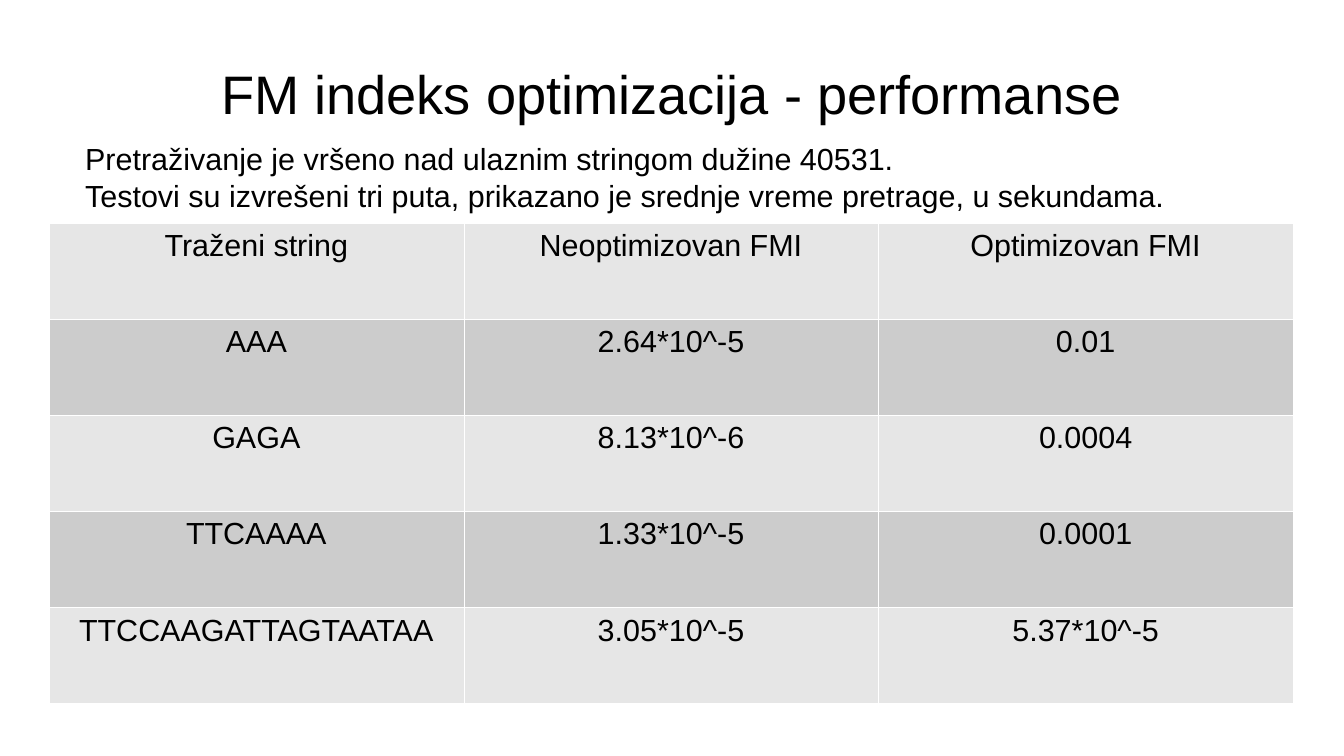
from dataclasses import dataclass

from lxml import etree
from pptx import Presentation
from pptx import util as u
from pptx.dml.color import RGBColor
from pptx.enum import text
from pptx.oxml import ns


@dataclass(frozen=True)
class Theme:
    """Colours, font and type sizes of the slide."""
    font: str = "Arial"
    ink: str = "000000"
    bands: tuple = ("E6E6E6", "CCCCCC")
    border: str = "FFFFFF"
    border_pt: float = 0.06
    title_pt: int = 32
    body_pt: int = 18


THEME = Theme()
WIDTH, HEIGHT = u.Inches(11.02), u.Inches(6.2)

TITLE = "FM indeks optimizacija - performanse"
INTRO = [
    "Pretraživanje je vršeno nad ulaznim stringom dužine 40531.",
    "Testovi su izvrešeni tri puta, prikazano je srednje vreme pretrage, u sekundama.",
]
RESULTS = [
    ("Traženi string", "Neoptimizovan FMI", "Optimizovan FMI"),
    ("AAA", "2.64*10^-5", "0.01"),
    ("GAGA", "8.13*10^-6", "0.0004"),
    ("TTCAAAA", "1.33*10^-5", "0.0001"),
    ("TTCCAAGATTAGTAATAA", "3.05*10^-5", "5.37*10^-5"),
]


def area(left, top, width, height):
    """Turn percentages of the slide's size into lengths."""
    return [u.Emu(round(share * side / 100)) for share, side in
            zip((left, top, width, height), (WIDTH, HEIGHT) * 2)]


def write(tf, lines, size, align):
    """Fill a text frame with one paragraph per line."""
    tf.text = "\n".join(lines)
    for p in tf.paragraphs:
        p.alignment = align
        p.font.name = THEME.font
        p.font.size = u.Pt(size)
        p.font.color.rgb = RGBColor.from_string(THEME.ink)


def add_text(slide, box, lines, size, align=text.PP_ALIGN.LEFT):
    """Add a wrapping text box and return its text frame."""
    tf = slide.shapes.add_textbox(*box).text_frame
    tf.word_wrap = True
    write(tf, lines, size, align)
    return tf


def add_title(slide, box, title):
    """Add the centred title without insets."""
    tf = add_text(slide, box, [title], THEME.title_pt, text.PP_ALIGN.CENTER)
    tf.vertical_anchor = text.MSO_ANCHOR.MIDDLE
    tf.margin_left = tf.margin_right = tf.margin_top = tf.margin_bottom = 0


def set_borders(cell):
    """Draw a thin line on every side of a cell."""
    props = cell._tc.get_or_add_tcPr()
    for i, side in enumerate(("lnL", "lnR", "lnT", "lnB")):
        line = etree.Element(ns.qn(f"a:{side}"), w=str(u.Pt(THEME.border_pt)))
        fill = etree.SubElement(line, ns.qn("a:solidFill"))
        etree.SubElement(fill, ns.qn("a:srgbClr"), val=THEME.border)
        props.insert(i, line)


def add_results(slide, box, rows):
    """Add the table of results with alternating row fills."""
    table = slide.shapes.add_table(len(rows), len(rows[0]), *box).table
    table.first_row = table.horz_banding = False
    for i, row in enumerate(rows):
        for j, value in enumerate(row):
            cell = table.cell(i, j)
            write(cell.text_frame, [value], THEME.body_pt, text.PP_ALIGN.CENTER)
            cell.fill.solid()
            cell.fill.fore_color.rgb = RGBColor.from_string(THEME.bands[i % 2])
            set_borders(cell)


def main():
    """Build the slide and save it."""
    prs = Presentation()
    prs.slide_width, prs.slide_height = WIDTH, HEIGHT
    slide = prs.slides.add_slide(prs.slide_layouts[6])
    add_title(slide, area(5, 4, 90, 16.6), TITLE)
    add_results(slide, area(3.65, 29.5, 92.55, 63.55), RESULTS)
    add_text(slide, area(5.45, 17.75, 91.65, 10.65), INTRO, THEME.body_pt)
    prs.save("out.pptx")


if __name__ == "__main__":
    main()
